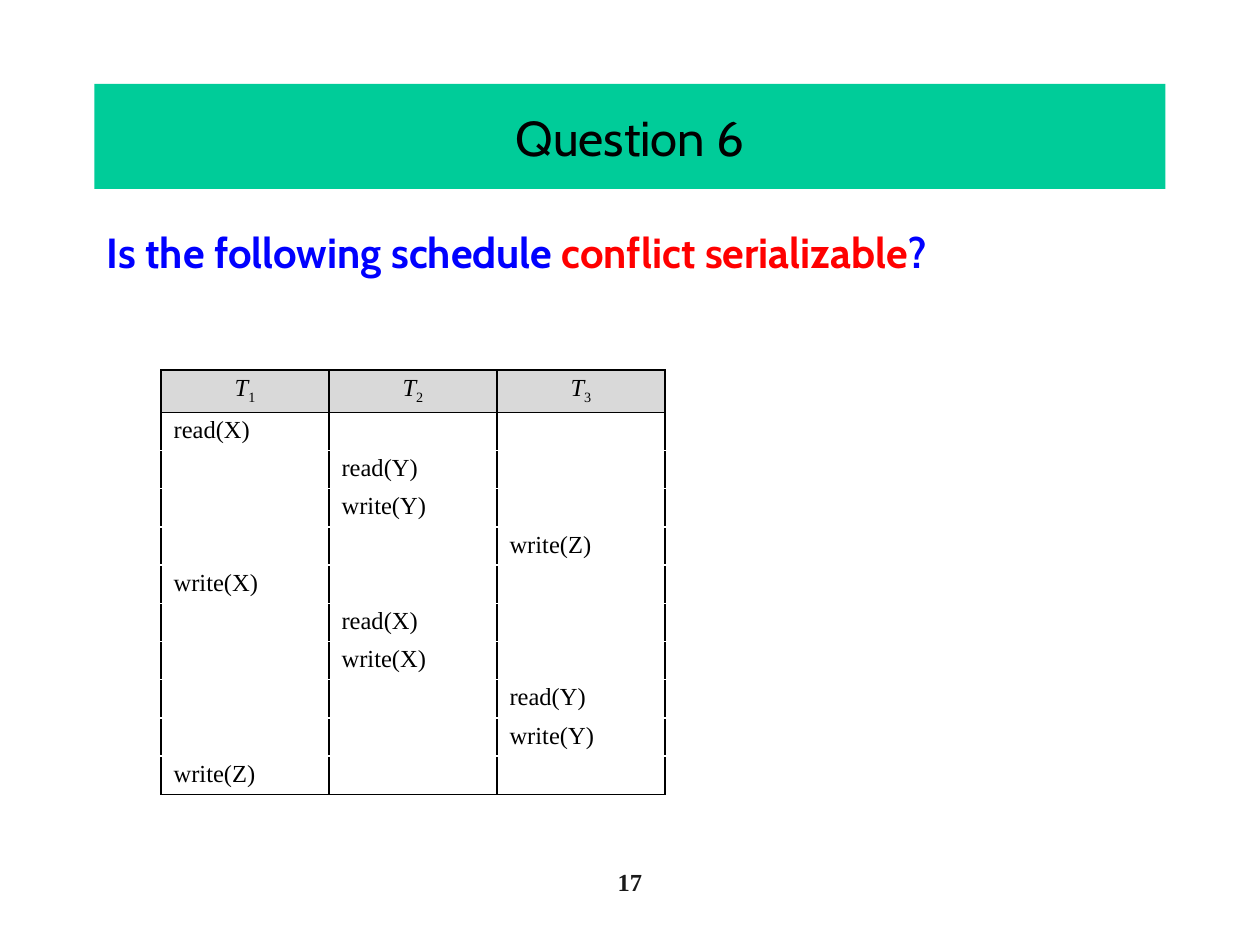
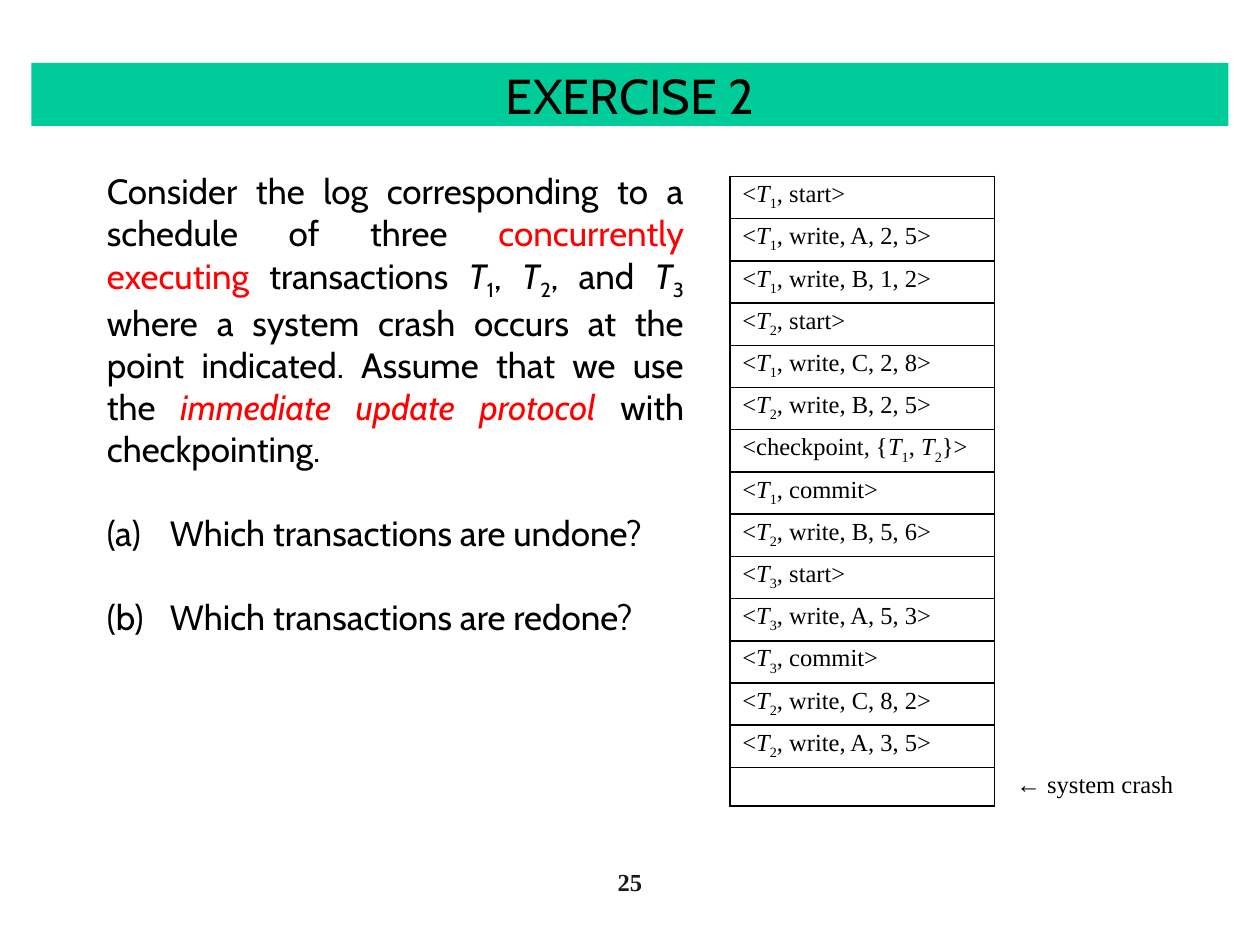
from dataclasses import dataclass

from lxml import etree
from pptx import Presentation
from pptx import util as u
from pptx.dml import color
from pptx.enum import shapes, text
from pptx.oxml import ns

Pt = u.Pt
ALIGN = text.PP_ALIGN


@dataclass(frozen=True)
class Theme:
    band: str = "00CC99"
    ink: str = "000000"
    paper: str = "FFFFFF"
    accent: str = "FF0000"
    question: str = "0000FF"
    header: str = "D9D9D9"
    footer: str = "1A1A1A"
    sans: str = "Cabin"
    serif: str = "Times New Roman"
    title_size: int = 28
    question_size: int = 24
    body_size: int = 20
    small_size: int = 14


THEME = Theme()
RED = {"ink": THEME.accent}
RED_ITALIC = {"ink": THEME.accent, "italic": True}

# In all content, "~1" stands for the transaction symbol T with subscript 1.
SCHEDULE_QUESTION = [
    ("Is the following schedule ", {}),
    ("conflict serializable", RED),
    ("?", {}),
]
TRANSACTIONS = ["~1", "~2", "~3"]
SCHEDULE = [
    (1, "read(X)"), (2, "read(Y)"), (2, "write(Y)"), (3, "write(Z)"), (1, "write(X)"),
    (2, "read(X)"), (2, "write(X)"), (3, "read(Y)"), (3, "write(Y)"), (1, "write(Z)"),
]
LOG_EXERCISE = [
    ("Consider the log corresponding to a schedule of three ", {}),
    ("concurrently executing", RED),
    (" transactions ~1, ~2, and ~3 where a system crash occurs at the point indicated."
     " Assume that we use the ", {}),
    ("immediate update protocol", RED_ITALIC),
    (" with checkpointing.", {}),
]
LOG_QUESTIONS = ["Which transactions are undone?", "Which transactions are redone?"]
LOG = [
    "<~1, start>", "<~1, write, A, 2, 5>", "<~1, write, B, 1, 2>", "<~2, start>",
    "<~1, write, C, 2, 8>", "<~2, write, B, 2, 5>", "<checkpoint, {~1, ~2}>",
    "<~1, commit>", "<~2, write, B, 5, 6>", "<~3, start>", "<~3, write, A, 5, 3>",
    "<~3, commit>", "<~2, write, C, 8, 2>", "<~2, write, A, 3, 5>",
]
CRASH = "← system crash"


def rgb(value):
    return color.RGBColor.from_string(value)


def points(*values):
    return [Pt(value) for value in values]


def add_run(paragraph, words, face, size, ink, bold=False, italic=False, subscript=False):
    run = paragraph.add_run()
    run.text = words
    font = run.font
    font.name, font.size, font.bold, font.italic = face, Pt(size), bold, italic
    font.color.rgb = rgb(ink)
    if subscript:
        run._r.get_or_add_rPr().set("baseline", "-25000")


def write(paragraph, segments, align=ALIGN.LEFT, **base):
    paragraph.alignment = align
    for words, changes in segments:
        style = {**base, **changes}
        plain, *marked = words.split("~")
        if plain:
            add_run(paragraph, plain, **style)
        for piece in marked:
            add_run(paragraph, "T", **{**style, "italic": True})
            add_run(paragraph, piece[0], **style, subscript=True)
            if piece[1:]:
                add_run(paragraph, piece[1:], **style)


def add_text_box(slide, box):
    frame = slide.shapes.add_textbox(*points(*box)).text_frame
    frame.word_wrap = True
    return frame


def add_slide(presentation, title, band_box, number):
    slide = presentation.slides.add_slide(presentation.slide_layouts[6])
    band = slide.shapes.add_shape(shapes.MSO_SHAPE.RECTANGLE, *points(*band_box))
    band.shadow.inherit = False
    band.fill.solid()
    band.fill.fore_color.rgb = rgb(THEME.band)
    band.line.fill.background()
    band.text_frame.vertical_anchor = text.MSO_ANCHOR.MIDDLE
    write(band.text_frame.paragraphs[0], [(title, {})], ALIGN.CENTER,
          face=THEME.sans, size=THEME.title_size, ink=THEME.ink)
    footer = add_text_box(slide, (36, 492, 648, 36))
    write(footer.paragraphs[0], [(str(number), {})], ALIGN.CENTER,
          face=THEME.serif, size=THEME.small_size, ink=THEME.footer, bold=True)
    return slide


def add_grid(slide, left, top, widths, heights):
    table = slide.shapes.add_table(
        len(heights), len(widths), *points(left, top, sum(widths), sum(heights))).table
    table.first_row = table.horz_banding = False
    for column, width in zip(table.columns, widths):
        column.width = Pt(width)
    for row, height in zip(table.rows, heights):
        row.height = Pt(height)
    return table


def set_borders(cell, **inks):
    properties = cell._tc.get_or_add_tcPr()
    for side in "LRTB":
        ink = inks.get(side)
        line = etree.SubElement(properties, ns.qn(f"a:ln{side}"), w=str(Pt(1)))
        fill = etree.SubElement(line, ns.qn("a:solidFill" if ink else "a:noFill"))
        if ink:
            etree.SubElement(fill, ns.qn("a:srgbClr"), val=ink)


def fill_cell(cell, words, borders, align=ALIGN.LEFT, fill=None):
    cell.margin_left = cell.margin_right = Pt(7.2)
    cell.margin_top = cell.margin_bottom = Pt(2.5)
    set_borders(cell, **borders)
    if fill:
        cell.fill.solid()
        cell.fill.fore_color.rgb = rgb(fill)
    else:
        cell.fill.background()
    paragraph = cell.text_frame.paragraphs[0]
    if words:
        write(paragraph, [(words, {})], align,
              face=THEME.serif, size=THEME.small_size, ink=THEME.ink)
    else:
        etree.SubElement(paragraph._p, ns.qn("a:endParaRPr"), sz=str(THEME.small_size * 100))


def number_paragraph(paragraph):
    properties = paragraph._p.get_or_add_pPr()
    properties.set("marL", str(Pt(36)))
    properties.set("indent", str(-Pt(36)))
    etree.SubElement(properties, ns.qn("a:buFont"), typeface=THEME.sans)
    etree.SubElement(properties, ns.qn("a:buAutoNum"), type="alphaLcParenBoth")


def build_schedule_slide(presentation):
    slide = add_slide(presentation, "Question 6", (54, 48, 612, 60), 17)
    question = add_text_box(slide, (54, 126, 612, 348))
    write(question.paragraphs[0], SCHEDULE_QUESTION, face=THEME.sans,
          size=THEME.question_size, ink=THEME.question, bold=True)

    table = add_grid(slide, 92, 211.5, [96] * len(TRANSACTIONS),
                     [22] + [21.4] * len(SCHEDULE))
    boxed = dict.fromkeys("LRTB", THEME.ink)
    for column, name in enumerate(TRANSACTIONS):
        fill_cell(table.cell(0, column), name, boxed, ALIGN.CENTER, THEME.header)
    for row, (transaction, operation) in enumerate(SCHEDULE, 1):
        borders = {
            **boxed,
            "T": THEME.ink if row == 1 else THEME.paper,
            "B": THEME.ink if row == len(SCHEDULE) else THEME.paper,
        }
        for column in range(len(TRANSACTIONS)):
            words = operation if column + 1 == transaction else ""
            fill_cell(table.cell(row, column), words, borders)


def build_log_slide(presentation):
    slide = add_slide(presentation, "EXERCISE 2", (18, 36, 684, 36), 25)
    frame = add_text_box(slide, (54, 93.6, 344, 381.6))
    body = {"face": THEME.sans, "size": THEME.body_size, "ink": THEME.ink}
    write(frame.paragraphs[0], LOG_EXERCISE, ALIGN.JUSTIFY, **body)
    for question in LOG_QUESTIONS:
        paragraph = frame.add_paragraph()
        paragraph.space_before = Pt(24)
        number_paragraph(paragraph)
        write(paragraph, [(question, {})], **body)

    entries = [(entry, "") for entry in LOG] + [("", CRASH)]
    table = add_grid(slide, 417, 100.8, [151.4, 114.6], [22] * len(entries))
    for row, (entry, remark) in enumerate(entries):
        fill_cell(table.cell(row, 0), entry, dict.fromkeys("LRTB", THEME.ink))
        fill_cell(table.cell(row, 1), remark, {"L": THEME.ink}, ALIGN.CENTER)


def main():
    presentation = Presentation()
    presentation.slide_width, presentation.slide_height = points(720, 540)
    build_schedule_slide(presentation)
    build_log_slide(presentation)
    presentation.save("out.pptx")


if __name__ == "__main__":
    main()
